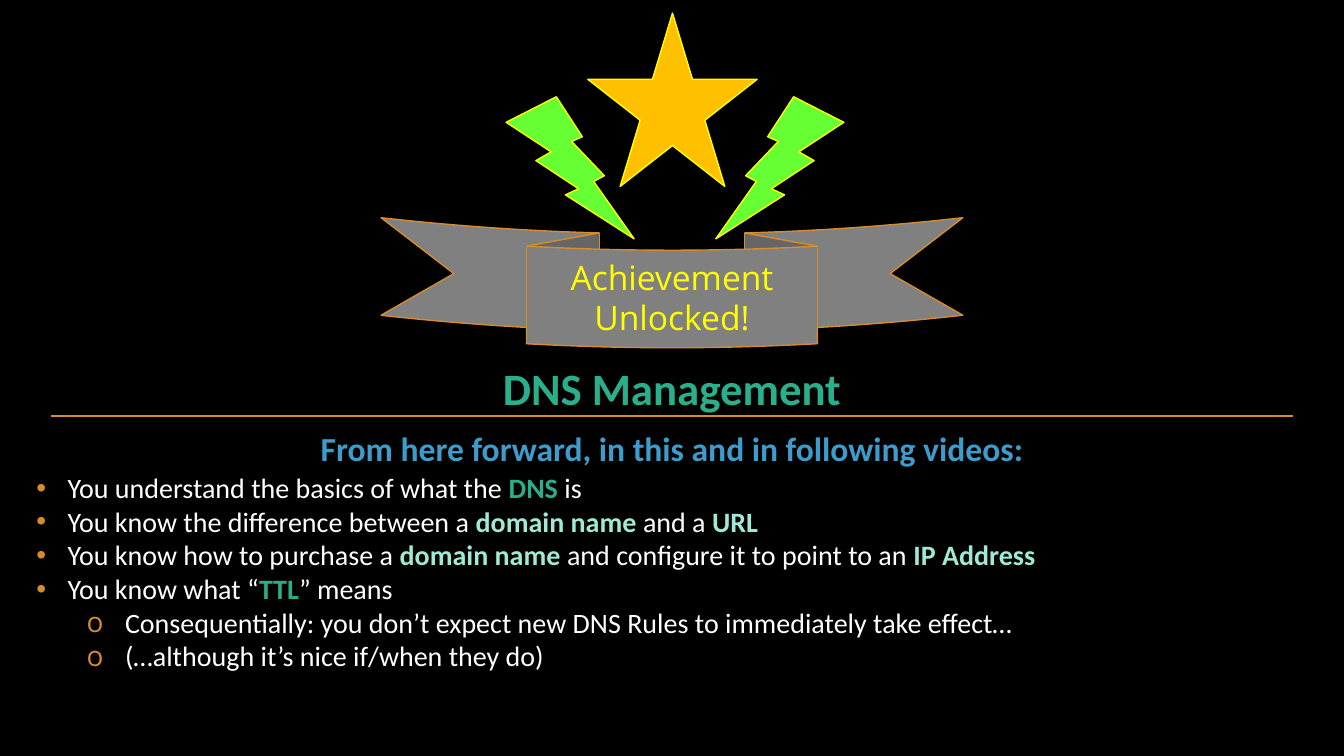
from lxml.etree import SubElement
from pptx import Presentation
from pptx.dml.color import RGBColor
from pptx.enum.shapes import MSO_CONNECTOR, MSO_SHAPE
from pptx.enum.text import MSO_ANCHOR, MSO_AUTO_SIZE, PP_ALIGN
from pptx.oxml.ns import qn
from pptx.util import Inches, Pt

COLORS = {
    "black": "000000", "white": "FFFFFF", "yellow": "FFFF00", "gold": "FFC000",
    "lime": "66FF33", "gray": "808080", "orange": "D58C2E", "green": "29AF8C",
    "mint": "A0E9D6", "blue": "3D9CCC",
}


def rgb(name):
    return RGBColor.from_string(COLORS[name])


def set_heading(box, place, text, size, color):
    box.left, box.top, box.width, box.height = map(Inches, place)
    frame = box.text_frame
    frame.word_wrap = True
    frame.auto_size = MSO_AUTO_SIZE.NONE
    frame.vertical_anchor = MSO_ANCHOR.TOP
    paragraph = frame.paragraphs[0]
    paragraph.text = text
    paragraph.alignment = PP_ALIGN.CENTER
    paragraph.font.name = "Calibri"
    paragraph.font.size = Pt(size)
    paragraph.font.bold = True
    paragraph.font.color.rgb = rgb(color)


prs = Presentation()
prs.slide_width, prs.slide_height = Inches(13.33), Inches(7.5)
slide = prs.slides.add_slide(prs.slide_layouts[1])
slide.background.fill.solid()
slide.background.fill.fore_color.rgb = rgb("black")

badge = slide.shapes.add_group_shape()
badge_parts = [
    (MSO_SHAPE.STAR_5_POINT, (5.83, 0.13, 1.68, 1.72), "gold", "yellow", False),
    (MSO_SHAPE.LIGHTNING_BOLT, (5.02, 0.96, 1.27, 1.41), "lime", "yellow", False),
    (MSO_SHAPE.LIGHTNING_BOLT, (7.1, 0.96, 1.27, 1.41), "lime", "yellow", True),
    (MSO_SHAPE.CURVED_DOWN_RIBBON, (3.78, 2.16, 5.77, 1.29), "gray", "orange", False),
]
for preset, place, fill, outline, mirrored in badge_parts:
    part = badge.shapes.add_shape(preset, *map(Inches, place))
    part.shadow.inherit = False
    part.fill.solid()
    part.fill.fore_color.rgb = rgb(fill)
    part.line.color.rgb = rgb(outline)
    part.line.width = Pt(1)
    if mirrored:
        part.element.spPr.get_or_add_xfrm().set("flipH", "1")

ribbon = badge.shapes[-1]
ribbon.text_frame.word_wrap = True
ribbon.text_frame.vertical_anchor = MSO_ANCHOR.MIDDLE
announcement = ribbon.text_frame.paragraphs[0]
announcement.text = "Achievement Unlocked!"
announcement.alignment = PP_ALIGN.CENTER
announcement.font.name = "Open Sans"
announcement.font.size = Pt(24)
announcement.font.color.rgb = rgb("yellow")

set_heading(slide.shapes.title, (3.33, 3.53, 6.67, 0.64), "DNS Management", 32, "green")

divider = slide.shapes.add_connector(
    MSO_CONNECTOR.STRAIGHT, Inches(0.51), Inches(4.13), Inches(12.82), Inches(4.13))
divider.line.color.rgb = rgb("orange")
divider.line.width = Pt(1.5)
SubElement(divider.element.spPr, qn("a:effectLst"))

skills = slide.placeholders[1]
skills.left, skills.top, skills.width, skills.height = map(Inches, (0.26, 4.62, 12.82, 2.12))
skills.text_frame.word_wrap = True
skills.text_frame.auto_size = MSO_AUTO_SIZE.NONE
skills.text_frame.vertical_anchor = MSO_ANCHOR.TOP

skill_lines = [
    (0, [("You understand the basics of what the ", None), ("DNS ", "green"), ("is", None)]),
    (0, [("You know the difference between a ", None), ("domain name", "mint"),
         (" and a ", None), ("URL", "mint")]),
    (0, [("You know how to purchase a ", None), ("domain name ", "mint"),
         ("and configure it to point to an ", None), ("IP Address", "mint")]),
    (0, [("You know what “", None), ("TTL", "green"), ("” means", None)]),
    (1, [("Consequentially: you don’t expect new DNS Rules to immediately take effect…", None)]),
    (1, [("(…although it’s nice if/when they do)", None)]),
]
bullet_styles = [("•", 0.31, -0.31, "Arial"), ("o", 0.88, -0.38, "Open Sans")]

for index, (level, pieces) in enumerate(skill_lines):
    frame = skills.text_frame
    skill = frame.add_paragraph() if index else frame.paragraphs[0]
    skill.level = level
    skill.space_before = Pt(0)
    bullet, margin, indent, bullet_font = bullet_styles[level]
    properties = skill._p.get_or_add_pPr()
    properties.set("marL", str(Inches(margin)))
    properties.set("indent", str(Inches(indent)))
    bullet_color = SubElement(properties, qn("a:buClr"))
    SubElement(bullet_color, qn("a:srgbClr"), val=COLORS["orange"])
    SubElement(properties, qn("a:buFont"), typeface=bullet_font)
    SubElement(properties, qn("a:buChar"), char=bullet)
    skill.font.name = "Calibri"
    skill.font.size = Pt(20)
    skill.font.color.rgb = rgb("white")
    for words, highlight in pieces:
        run = skill.add_run()
        run.text = words
        if highlight:
            run.font.bold = True
            run.font.color.rgb = rgb(highlight)

promise = slide.shapes.add_textbox(0, 0, 0, 0)
set_heading(promise, (2.77, 4.2, 7.79, 0.5),
            "From here forward, in this and in following videos:", 24, "blue")

prs.save("out.pptx")
